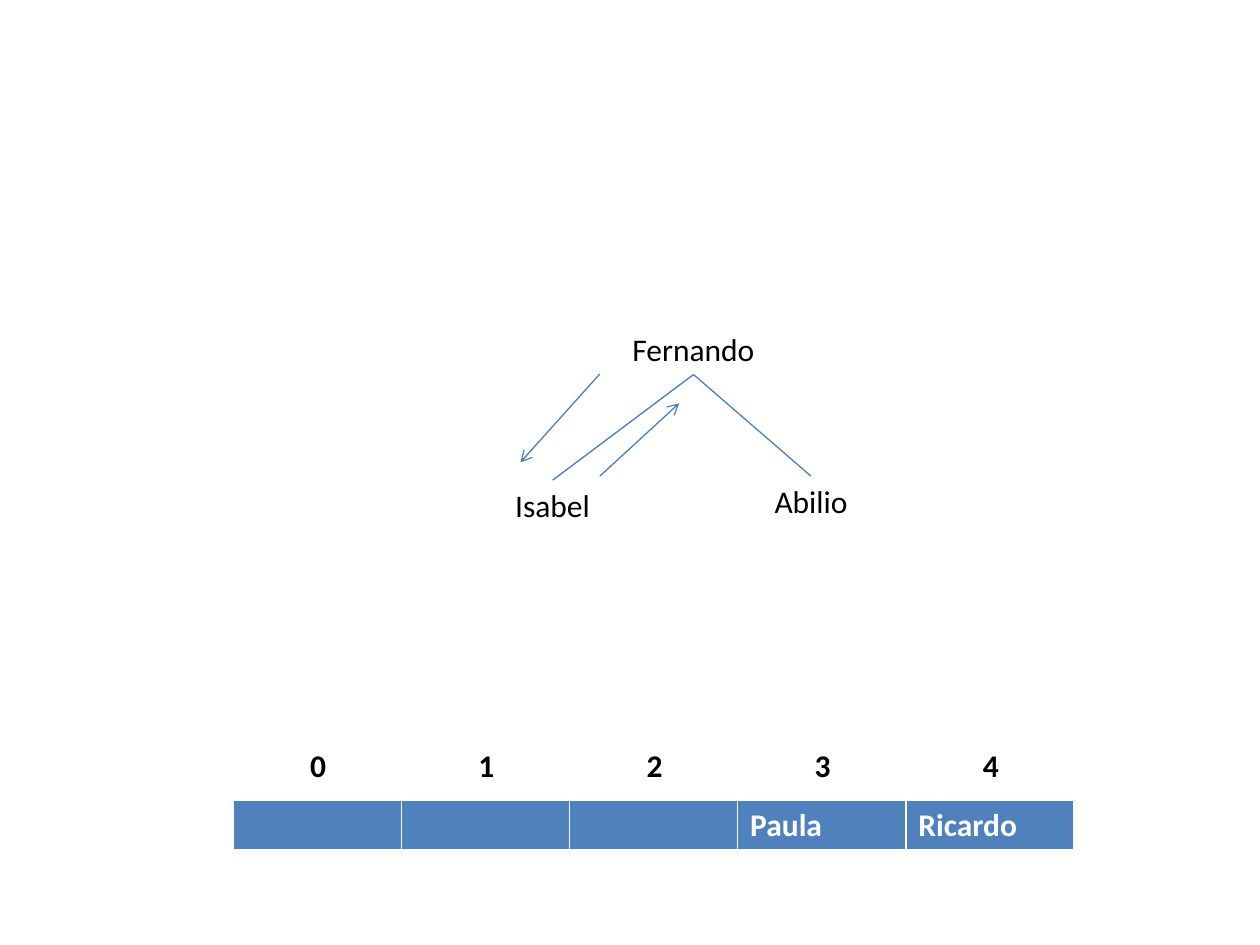
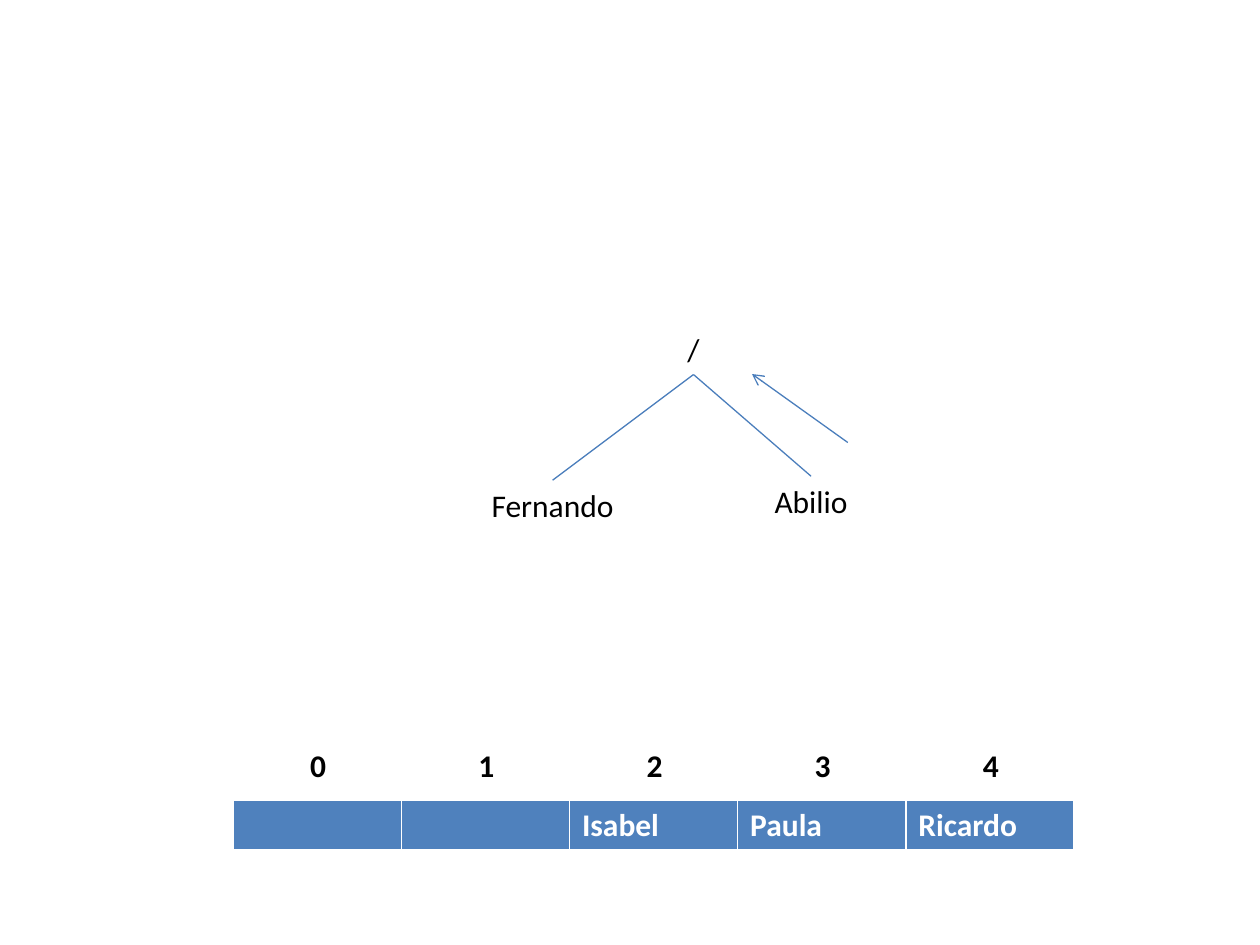
from dataclasses import dataclass

from lxml.etree import SubElement
from pptx import Presentation
from pptx.dml.color import RGBColor
from pptx.enum.shapes import MSO_CONNECTOR
from pptx.enum.text import MSO_AUTO_SIZE, PP_ALIGN
from pptx.oxml.ns import qn
from pptx.slide import Slide
from pptx.table import _Cell
from pptx.text.text import _Paragraph
from pptx.util import Cm, Pt

BLACK = RGBColor(0x00, 0x00, 0x00)
WHITE = RGBColor(0xFF, 0xFF, 0xFF)
CELL_BLUE = RGBColor(0x4F, 0x81, 0xBD)
LINE_BLUE = RGBColor(0x4B, 0x7E, 0xBC)

FONT = "Calibri"
LABEL_WIDTH = 4.6
LABEL_HEIGHT = 1.02
COLUMN_WIDTH = 3.39
ROW_HEIGHT = 1.03
BORDER_WIDTHS = {"a:lnL": 1, "a:lnR": 1, "a:lnT": 1, "a:lnB": 3}


@dataclass(frozen=True)
class Point:
    x: float
    y: float


@dataclass(frozen=True)
class Arrow:
    start: Point
    end: Point


@dataclass(frozen=True)
class HeapStep:
    root: str
    left: str
    right: str
    sorted_names: list[str]
    arrows: list[Arrow]


@dataclass(frozen=True)
class RowStyle:
    position: Point
    fill: RGBColor
    color: RGBColor
    alignment: PP_ALIGN


ROOT = Point(11.68, 6.53)
LEFT_CHILD = Point(8.84, 9.68)
RIGHT_CHILD = Point(14.05, 9.6)

INDEX_ROW = RowStyle(Point(4.72, 14.94), WHITE, BLACK, PP_ALIGN.CENTER)
VALUE_ROW = RowStyle(Point(4.7, 16.13), CELL_BLUE, WHITE, PP_ALIGN.LEFT)

STEPS = [
    HeapStep(
        "Fernando", "Isabel", "Abilio",
        ["", "", "", "Paula", "Ricardo"],
        [
            Arrow(Point(12.09, 7.54), Point(10.49, 9.32)),
            Arrow(Point(12.09, 9.6), Point(13.69, 8.13)),
        ],
    ),
    HeapStep(
        "/", "Fernando", "Abilio",
        ["", "", "Isabel", "Paula", "Ricardo"],
        [Arrow(Point(17.09, 8.92), Point(15.16, 7.54))],
    ),
]


def format_paragraph(
    paragraph: _Paragraph, color: RGBColor, alignment: PP_ALIGN, bold: bool
) -> None:
    paragraph.alignment = alignment
    for run in paragraph.runs:
        run.font.name = FONT
        run.font.size = Pt(18)
        run.font.bold = bold
        run.font.color.rgb = color


def add_label(slide: Slide, text: str, position: Point) -> None:
    shape = slide.shapes.add_textbox(
        Cm(position.x), Cm(position.y), Cm(LABEL_WIDTH), Cm(LABEL_HEIGHT)
    )
    text_frame = shape.text_frame
    text_frame.word_wrap = True
    text_frame.auto_size = MSO_AUTO_SIZE.SHAPE_TO_FIT_TEXT
    text_frame.text = text
    format_paragraph(text_frame.paragraphs[0], BLACK, PP_ALIGN.CENTER, False)


def add_line(slide: Slide, start: Point, end: Point, arrow: bool = False) -> None:
    connector = slide.shapes.add_connector(
        MSO_CONNECTOR.STRAIGHT, Cm(start.x), Cm(start.y), Cm(end.x), Cm(end.y)
    )
    connector.line.color.rgb = LINE_BLUE
    connector.line.width = Pt(0.75)
    properties = connector._element.spPr
    if arrow:
        SubElement(properties.find(qn("a:ln")), qn("a:tailEnd"), type="arrow")
    SubElement(properties, qn("a:effectLst"))


def add_borders(cell: _Cell) -> None:
    properties = cell._tc.get_or_add_tcPr()
    for tag, width in BORDER_WIDTHS.items():
        border = SubElement(properties, qn(tag), w=str(Pt(width)))
        fill = SubElement(border, qn("a:solidFill"))
        SubElement(fill, qn("a:srgbClr"), val=str(WHITE))


def add_row(slide: Slide, texts: list[str], style: RowStyle) -> None:
    table = slide.shapes.add_table(
        1, len(texts), Cm(style.position.x), Cm(style.position.y),
        Cm(COLUMN_WIDTH * len(texts)), Cm(ROW_HEIGHT),
    ).table
    table.horz_banding = False
    for cell, text in zip(table.iter_cells(), texts):
        add_borders(cell)
        cell.fill.solid()
        cell.fill.fore_color.rgb = style.fill
        cell.text_frame.text = text
        format_paragraph(
            cell.text_frame.paragraphs[0], style.color, style.alignment, True
        )


def top_center(label: Point) -> Point:
    return Point(label.x + LABEL_WIDTH / 2, label.y)


def add_step(slide: Slide, step: HeapStep) -> None:
    add_label(slide, step.root, ROOT)
    add_row(slide, step.sorted_names, VALUE_ROW)
    root_bottom = Point(top_center(ROOT).x, ROOT.y + LABEL_HEIGHT)
    for name, child in ((step.right, RIGHT_CHILD), (step.left, LEFT_CHILD)):
        add_line(slide, root_bottom, top_center(child))
        add_label(slide, name, child)
    indexes = [str(index) for index in range(len(step.sorted_names))]
    add_row(slide, indexes, INDEX_ROW)
    for arrow in step.arrows:
        add_line(slide, arrow.start, arrow.end, arrow=True)


presentation = Presentation()
presentation.slide_width = Cm(25.4)
presentation.slide_height = Cm(19.05)
blank_layout = presentation.slide_layouts[6]
for heap_step in STEPS:
    add_step(presentation.slides.add_slide(blank_layout), heap_step)
presentation.save("out.pptx")
